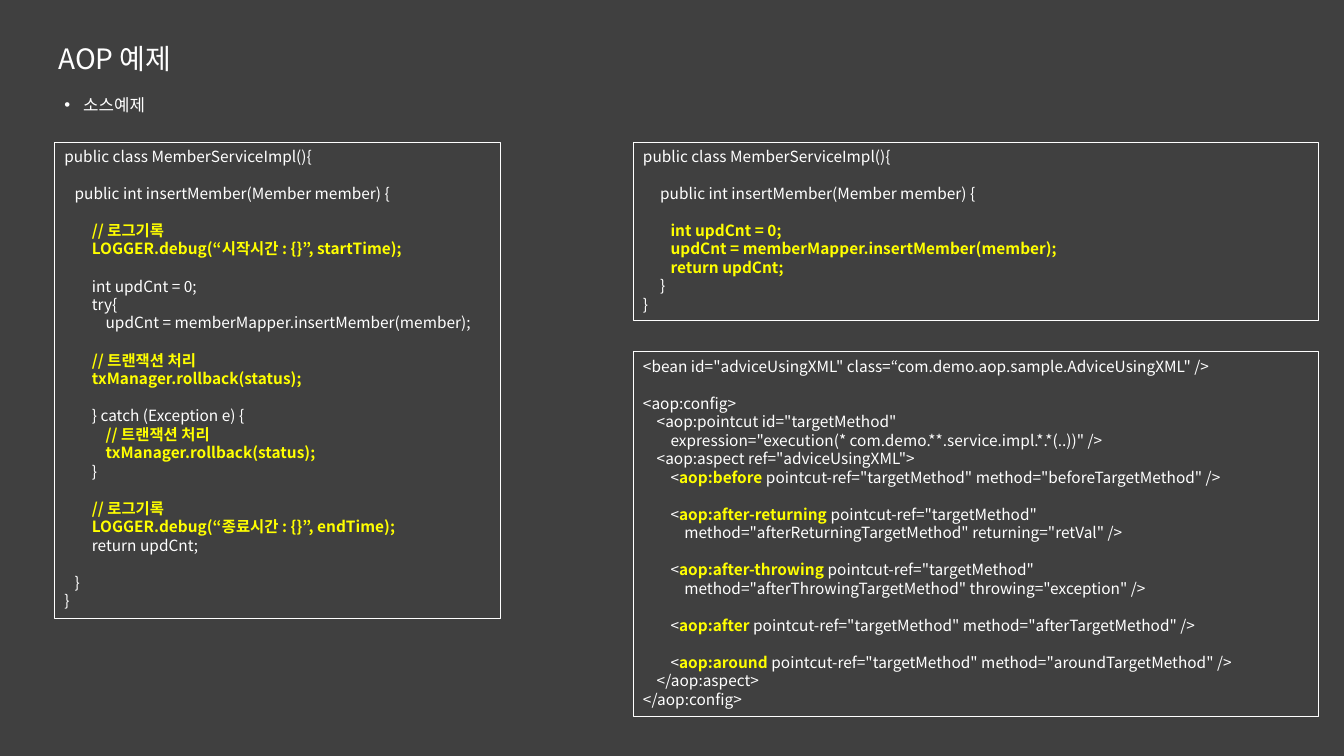
from dataclasses import dataclass

from lxml.etree import SubElement
from pptx import Presentation
from pptx.dml.color import RGBColor
from pptx.enum.shapes import MSO_SHAPE as Preset
from pptx.enum.text import MSO_ANCHOR as Anchor, PP_ALIGN as Align
from pptx.oxml.ns import qn
from pptx.util import Pt

FONT = "Noto Sans CJK KR"
BACKGROUND, WHITE, YELLOW = "404040", "FFFFFF", "FFFF00"
CODE_SIZE, COLUMN_WIDTH, LINE_HEIGHT = 11, 2.46, 13.25
LEFT, RIGHT, TOP = 38.9, 452.2, 101.5


@dataclass
class Line:
    """A line of code: its column, three text parts and blank lines above."""
    column: int
    plain: str = ""
    strong: str = ""
    rest: str = ""
    gap: int = 0


@dataclass
class CodeBox:
    """A framed listing, in points."""
    left: float
    top: float
    width: float
    height: float
    lines: list[Line]


def color(value: str) -> RGBColor:
    """Turn a hex string into a colour."""
    return RGBColor.from_string(value)


def add_run(paragraph, text: str, size: float, fill: str = WHITE, bold: bool = False) -> None:
    """Add one styled run, unless it is empty."""
    if not text:
        return
    run = paragraph.add_run()
    run.text = text
    run.font.size, run.font.bold, run.font.name = Pt(size), bold, FONT
    run.font.color.rgb = color(fill)
    SubElement(run._r.get_or_add_rPr(), qn("a:ea")).set("typeface", FONT)


def set_indent(paragraph, margin: float, hanging: float = 0):
    """Set the left margin and hanging indent, and return the properties."""
    properties = paragraph._p.get_or_add_pPr()
    properties.set("marL", str(Pt(margin)))
    properties.set("indent", str(-Pt(hanging)))
    return properties


def add_label(slide, left: float, top: float, width: float, height: float, text: str, size: float):
    """Add a one-line text box and return its paragraph."""
    frame = slide.shapes.add_textbox(Pt(left), Pt(top), Pt(width), Pt(height)).text_frame
    frame.word_wrap = False
    paragraph = frame.paragraphs[0]
    add_run(paragraph, text, size)
    return paragraph


def add_code_box(slide, box: CodeBox) -> None:
    """Draw a framed listing."""
    shape = slide.shapes.add_shape(
        Preset.RECTANGLE, Pt(box.left), Pt(box.top), Pt(box.width), Pt(box.height))
    shape.shadow.inherit = False
    shape.fill.background()
    shape.line.color.rgb = color(WHITE)
    shape.line.width = Pt(0.75)
    frame = shape.text_frame
    frame.word_wrap = True
    frame.vertical_anchor = Anchor.TOP
    for index, line in enumerate(box.lines):
        paragraph = frame.add_paragraph() if index else frame.paragraphs[0]
        paragraph.alignment = Align.LEFT
        paragraph.space_before = Pt(line.gap * LINE_HEIGHT)
        set_indent(paragraph, line.column * COLUMN_WIDTH)
        add_run(paragraph, line.plain, CODE_SIZE)
        add_run(paragraph, line.strong, CODE_SIZE, YELLOW, True)
        add_run(paragraph, line.rest, CODE_SIZE)


def advice(name: str, rest: str, gap: int = 1) -> Line:
    """Make the opening line of an advice element."""
    return Line(8, "<", f"aop:{name} ", f'pointcut-ref="targetMethod"{rest}', gap)


CLASS_LINE = Line(0, "public class MemberServiceImpl(){")
METHOD = "public int insertMember(Member member) {"
UPDATE = "updCnt = memberMapper.insertMember(member);"
ROLLBACK = "txManager.rollback(status);"
TRANSACTION, LOG = "// 트랜잭션 처리", "// 로그기록"

BOXES = [
    CodeBox(LEFT, TOP, 319, 340.6, [
        CLASS_LINE,
        Line(3, METHOD, gap=1),
        Line(8, strong=LOG, gap=1),
        Line(8, strong="LOGGER.debug(“시작시간 : {}”, startTime);"),
        Line(8, "int updCnt = 0;", gap=1),
        Line(8, "try{"),
        Line(12, UPDATE),
        Line(8, strong=TRANSACTION, gap=1),
        Line(8, strong=ROLLBACK),
        Line(8, "} catch (Exception e) {", gap=1),
        Line(12, strong=TRANSACTION),
        Line(12, strong=ROLLBACK),
        Line(8, "}"),
        Line(8, strong=LOG, gap=1),
        Line(8, strong="LOGGER.debug(“종료시간 : {}”, endTime);"),
        Line(8, "return updCnt;"),
        Line(3, "}", gap=1),
        Line(0, "}"),
    ]),
    CodeBox(RIGHT, TOP, 489.6, 127.4, [
        CLASS_LINE,
        Line(5, METHOD, gap=1),
        Line(8, strong="int updCnt = 0;", gap=1),
        Line(8, strong=UPDATE),
        Line(8, strong="return updCnt;"),
        Line(5, "}"),
        Line(0, "}"),
    ]),
    CodeBox(RIGHT, 251.3, 489.6, 260.6, [
        Line(0, '<bean id="adviceUsingXML" class=“com.demo.aop.sample.AdviceUsingXML" />'),
        Line(0, "<aop:config>", gap=1),
        Line(4, '<aop:pointcut id="targetMethod"'),
        Line(8, 'expression="execution(* com.demo.**.service.impl.*.*(..))" />'),
        Line(4, '<aop:aspect ref="adviceUsingXML">'),
        advice("before", ' method="beforeTargetMethod" />', gap=0),
        advice("after-returning", ""),
        Line(12, 'method="afterReturningTargetMethod" returning="retVal" />'),
        advice("after-throwing", ""),
        Line(12, 'method="afterThrowingTargetMethod" throwing="exception" />'),
        advice("after", ' method="afterTargetMethod" />'),
        advice("around", ' method="aroundTargetMethod" />'),
        Line(4, "</aop:aspect>"),
        Line(0, "</aop:config>"),
    ]),
]


def main() -> None:
    """Build and save the slide."""
    presentation = Presentation()
    presentation.slide_width, presentation.slide_height = Pt(960), Pt(540)
    slide = presentation.slides.add_slide(presentation.slide_layouts[6])
    slide.background.fill.solid()
    slide.background.fill.fore_color.rgb = color(BACKGROUND)
    add_label(slide, 34.6, 25.9, 102.2, 31.7, "AOP 예제", 20)
    topic = add_label(slide, LEFT, 56.9, 76.3, 28.8, "소스예제", 12)
    topic.line_spacing = 1.5
    properties = set_indent(topic, 13.5, 13.5)
    SubElement(properties, qn("a:buFont")).set("typeface", "Arial")
    SubElement(properties, qn("a:buChar")).set("char", "•")
    for box in BOXES:
        add_code_box(slide, box)
    presentation.save("out.pptx")


main()
